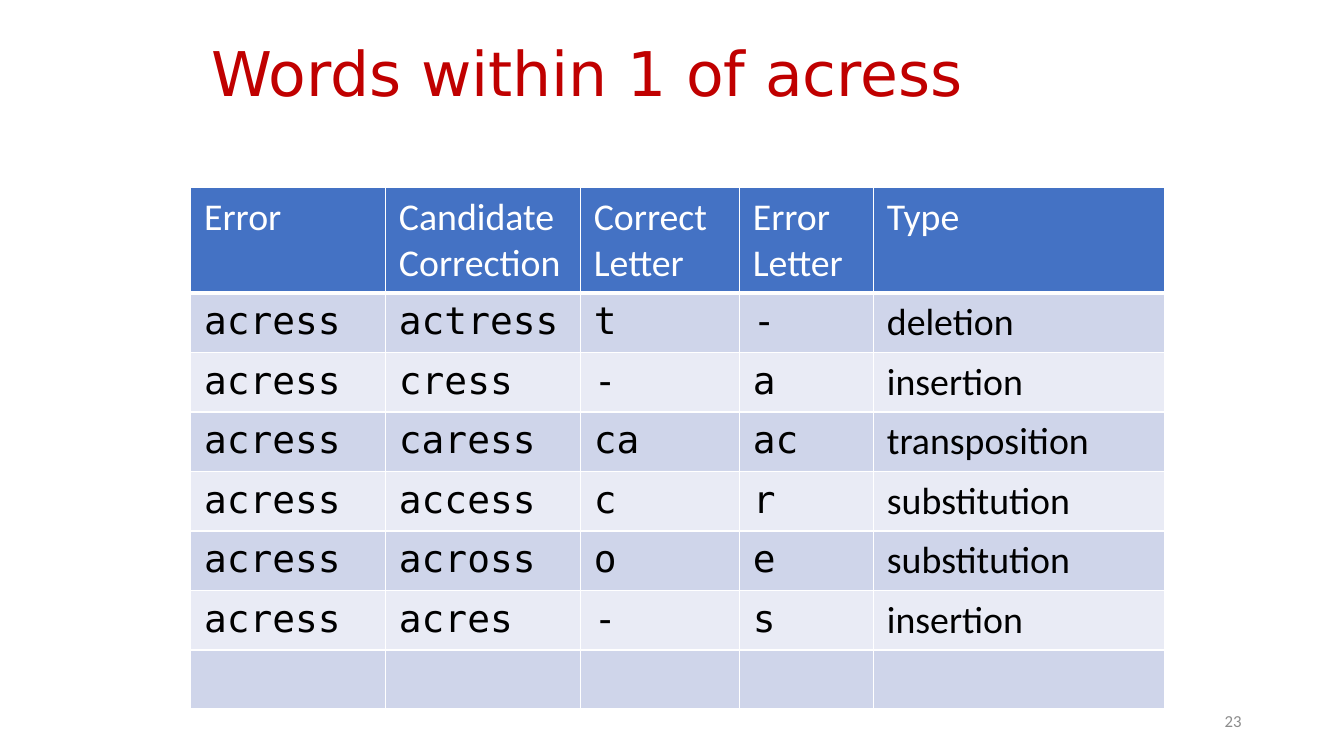
"""Build a slide listing the words one edit away from a misspelling."""
from dataclasses import dataclass
from typing import Any

from lxml import etree
from pptx import Presentation
from pptx.dml.color import RGBColor
from pptx.enum.text import MSO_ANCHOR, PP_ALIGN
from pptx.oxml.ns import qn
from pptx.util import Pt

MIDDLE = MSO_ANCHOR.MIDDLE
LEFT, RIGHT = PP_ALIGN.LEFT, PP_ALIGN.RIGHT


@dataclass(frozen=True)
class Theme:
    """Colours, fonts and type sizes of the slide."""

    red: str = "C00000"
    blue: str = "4472C4"
    white: str = "FFFFFF"
    black: str = "000000"
    grey: str = "8C8C8C"
    bands: tuple[str, str] = ("CFD5EA", "E9EBF5")
    sans: str = "DejaVu Sans"
    mono: str = "DejaVu Sans Mono"
    body: str = "Calibri"
    title: float = 44
    cell: float = 27
    small: float = 12


@dataclass(frozen=True)
class Style:
    """Font, size and colour of a piece of text."""

    font: str
    size: float
    tint: str


@dataclass(frozen=True)
class Label:
    """Text in a box with its place in points."""

    text: str
    box: tuple[float, float, float, float]
    style: Style
    align: Any = LEFT
    space: float = 1.0


@dataclass(frozen=True)
class Edit:
    """One candidate correction with the letters that differ."""

    word: str = ""
    right: str = ""
    wrong: str = ""
    kind: str = ""

    def cells(self) -> tuple[str, ...]:
        """Return the texts of the table row."""
        error = "acress" if self.word else ""
        return error, self.word, self.right, self.wrong, self.kind


THEME = Theme()
HEAD = Style(THEME.body, THEME.cell, THEME.white)
CODE = Style(THEME.mono, THEME.cell, THEME.black)
PLAIN = Style(THEME.body, THEME.cell, THEME.black)

LABELS = (
    Label("Words within 1 of acress", (144, 16, 784, 78),
          Style(THEME.sans, THEME.title, THEME.red), space=0.9),
    Label("23", (678, 500.5, 216, 28.75),
          Style(THEME.body, THEME.small, THEME.grey), RIGHT),
)
TITLES = ("Error", "Candidate Correction", "Correct Letter",
          "Error Letter", "Type")
EDITS = (
    Edit("actress", "t", "-", "deletion"),
    Edit("cress", "-", "a", "insertion"),
    Edit("caress", "ca", "ac", "transposition"),
    Edit("access", "c", "r", "substitution"),
    Edit("across", "o", "e", "substitution"),
    Edit("acres", "-", "s", "insertion"),
    Edit(),
)
ORIGIN = (136.2, 134)
WIDTHS = (139.2, 139.2, 113.6, 95.8, 207.8)
TOP, ROW = 73.5, 42
INSETS = {"margin_left": Pt(9.6), "margin_right": Pt(9.6),
          "margin_top": Pt(4.8), "margin_bottom": Pt(4.8)}
EDGES = ("a:lnL", "a:lnR", "a:lnT", "a:lnB")
THIN, THICK = 1, 3


def apply(item: Any, values: dict[str, Any]) -> None:
    """Set each named attribute on the item."""
    for name, value in values.items():
        setattr(item, name, value)


def write(para: Any, text: str, style: Style) -> None:
    """Add a styled run to the paragraph."""
    run = para.add_run()
    run.text = text
    apply(run.font, {"name": style.font, "size": Pt(style.size)})
    run.font.color.rgb = RGBColor.from_string(style.tint)


def border(cell: Any, base: float) -> None:
    """Draw white edges round the cell, the lower one of given width."""
    props = cell._tc.get_or_add_tcPr()
    for spot, edge in enumerate(EDGES):
        width = base if edge == "a:lnB" else THIN
        line = etree.Element(qn(edge), w=str(Pt(width)))
        fill = etree.SubElement(line, qn("a:solidFill"))
        etree.SubElement(fill, qn("a:srgbClr"), val=THEME.white)
        props.insert(spot, line)


def paint(cell: Any, text: str, style: Style, fill: str, base: float) -> None:
    """Fill, frame and label one table cell."""
    apply(cell, INSETS)
    cell.fill.solid()
    cell.fill.fore_color.rgb = RGBColor.from_string(fill)
    border(cell, base)
    if text:
        write(cell.text_frame.paragraphs[0], text, style)


def place(slide: Any, label: Label) -> None:
    """Add a label as a wrapped text box."""
    frame = slide.shapes.add_textbox(*map(Pt, label.box)).text_frame
    apply(frame, {"word_wrap": True, "vertical_anchor": MIDDLE})
    para = frame.paragraphs[0]
    apply(para, {"alignment": label.align, "line_spacing": label.space})
    write(para, label.text, label.style)


def tabulate(slide: Any) -> None:
    """Add the table of edits."""
    rows = (TITLES, *(edit.cells() for edit in EDITS))
    size = (sum(WIDTHS), TOP + ROW * len(EDITS))
    table = slide.shapes.add_table(
        len(rows), len(WIDTHS), *map(Pt, ORIGIN + size)).table
    for col, width in zip(table.columns, WIDTHS):
        col.width = Pt(width)
    for y, texts in enumerate(rows):
        head = y == 0
        table.rows[y].height = Pt(TOP if head else ROW)
        fill = THEME.blue if head else THEME.bands[(y - 1) % 2]
        for x, text in enumerate(texts):
            last = x == len(texts) - 1
            style = HEAD if head else PLAIN if last else CODE
            paint(table.cell(y, x), text, style, fill,
                  THICK if head else THIN)


def main() -> None:
    """Build and save the slide."""
    deck = Presentation()
    apply(deck, {"slide_width": Pt(960), "slide_height": Pt(540)})
    slide = deck.slides.add_slide(deck.slide_layouts[6])
    tabulate(slide)
    for label in LABELS:
        place(slide, label)
    deck.save("out.pptx")


main()
